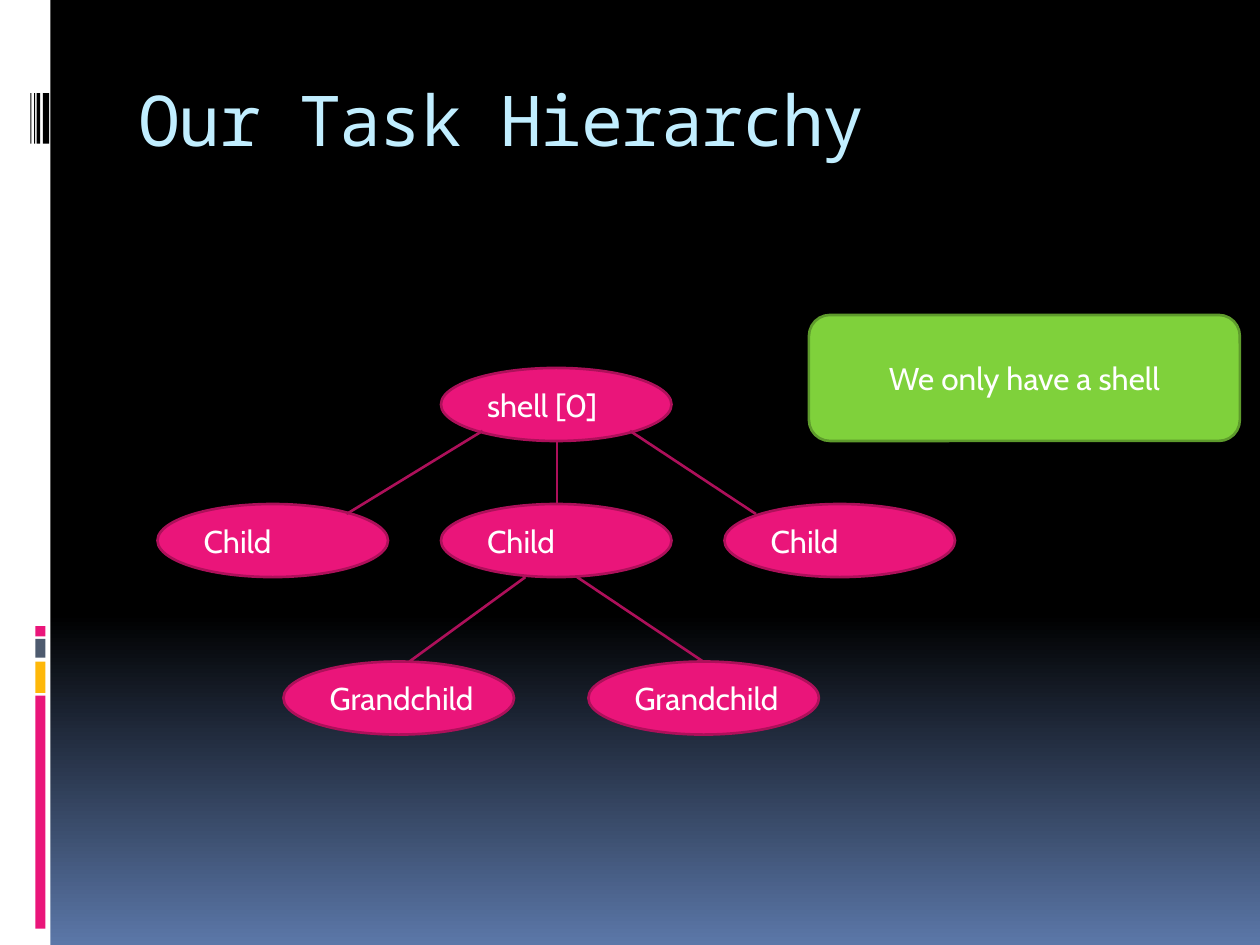
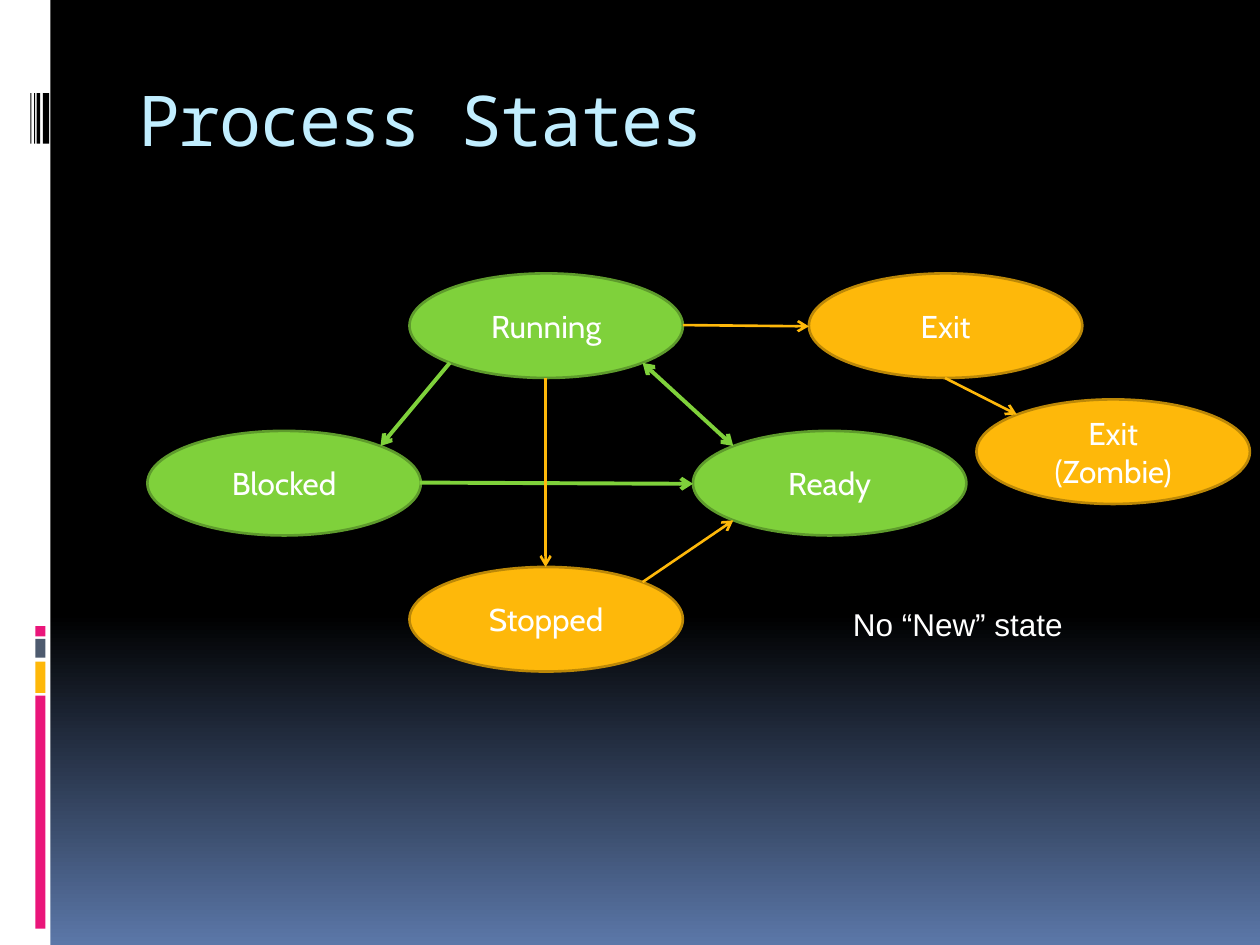
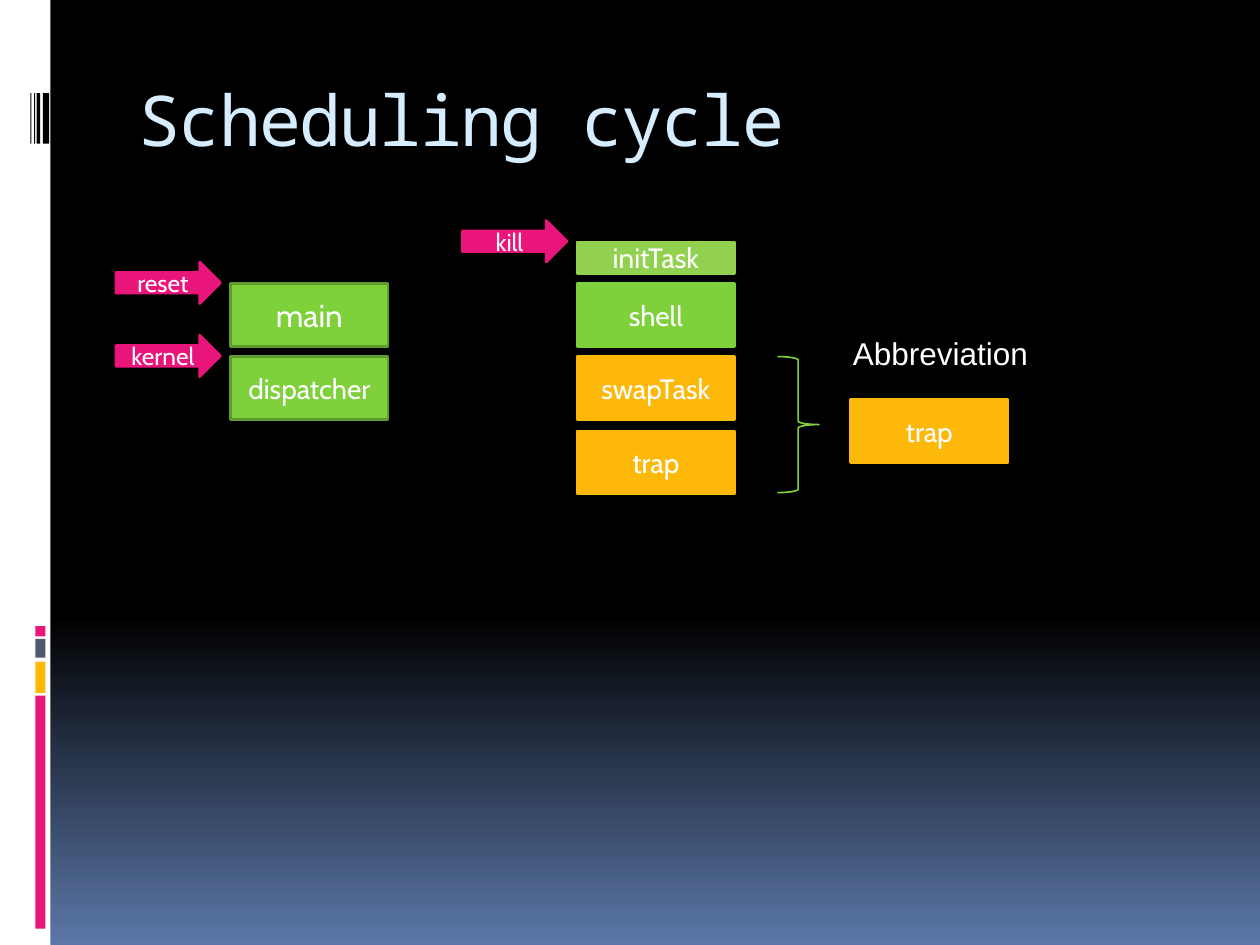
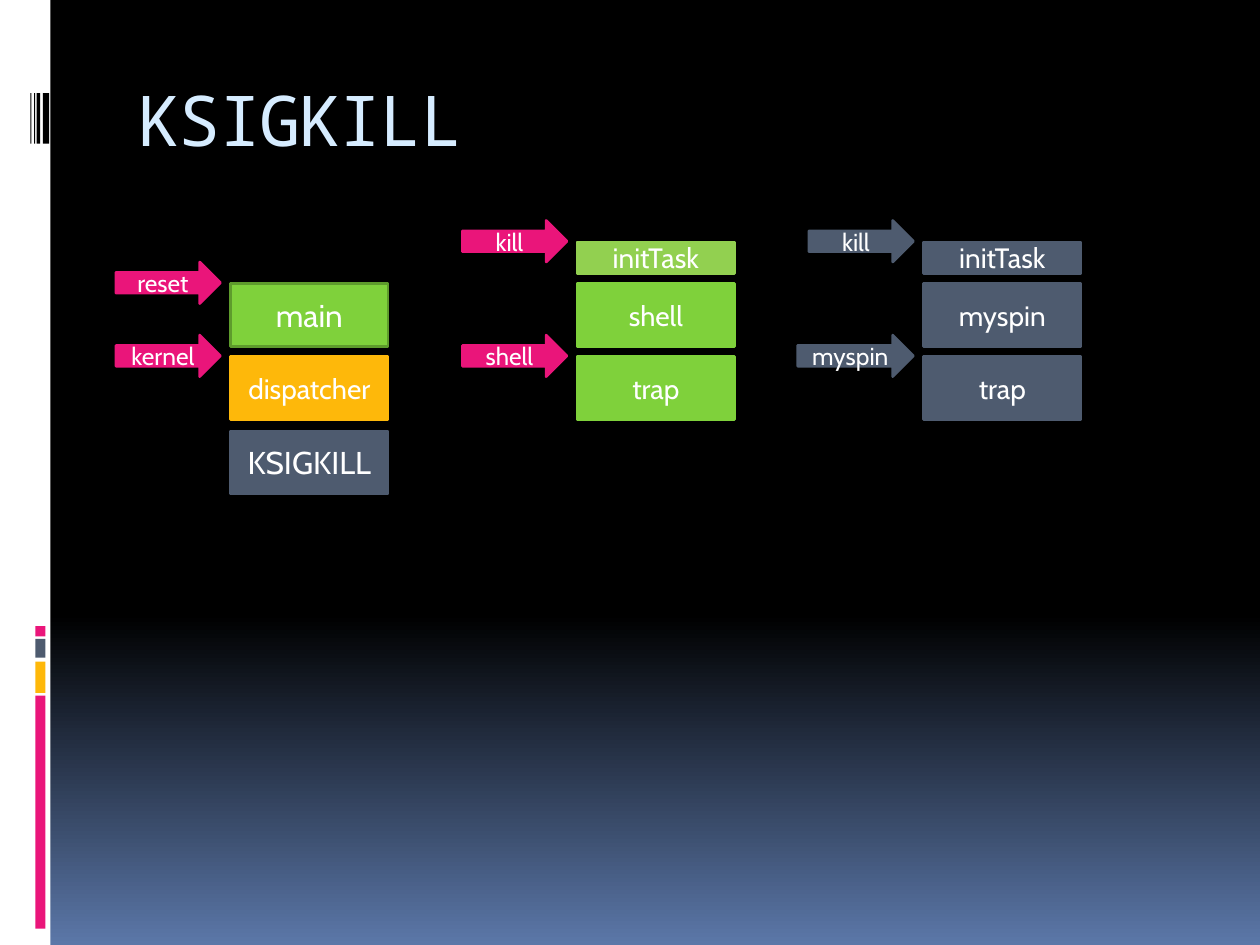
from copy import deepcopy

from pptx import Presentation
from pptx.dml.color import RGBColor
from pptx.enum.shapes import MSO_CONNECTOR, MSO_SHAPE
from pptx.enum.text import MSO_ANCHOR, MSO_AUTO_SIZE, PP_ALIGN
from pptx.oxml.ns import qn
from pptx.oxml.xmlchemy import OxmlElement
from pptx.util import Inches, Pt

RECT, ELLIPSE, ROUNDED = MSO_SHAPE.RECTANGLE, MSO_SHAPE.OVAL, MSO_SHAPE.ROUNDED_RECTANGLE
ARROW, BRACE = MSO_SHAPE.RIGHT_ARROW, MSO_SHAPE.RIGHT_BRACE
STRAIGHT = MSO_CONNECTOR.STRAIGHT
LEFT, CENTER = PP_ALIGN.LEFT, PP_ALIGN.CENTER
TOP, MIDDLE = MSO_ANCHOR.TOP, MSO_ANCHOR.MIDDLE
NO_FIT, GROW = MSO_AUTO_SIZE.NONE, MSO_AUTO_SIZE.SHAPE_TO_FIT_TEXT

WHITE, BLACK, BLUE = "FFFFFF", "000000", "5B77A8"
PINK, GREEN, AMBER, SLATE, LIME = "EA157A", "7FD13B", "FEB80A", "4E5B6F", "92D050"
DARK_PINK, DARK_GREEN, DARK_AMBER = "AD105A", "5E9B2C", "BC8807"
CYAN, PALE_BLUE = "C1EEFF", "D6ECFF"
rgb = RGBColor.from_string


def add_shape(s, kind, x, y, w, h, fill, line=None, text="", size=18, align=CENTER, width=1.5):
    sp = s.shapes.add_shape(kind, Inches(x), Inches(y), Inches(w), Inches(h))
    sp.shadow.inherit = False
    for part, color in ((sp.fill, fill), (sp.line.fill, line)):
        if color:
            part.solid()
            part.fore_color.rgb = rgb(color)
        else:
            part.background()
    if line:
        sp.line.width = Pt(width)
    if text:
        tf = sp.text_frame
        tf.text = text
        tf.word_wrap = align == CENTER
        tf.vertical_anchor = MIDDLE
        for p in tf.paragraphs:
            p.alignment = align
            p.font.size, p.font.name = Pt(size), "Cabin"
            p.font.color.rgb = rgb(WHITE)
    return sp


def add_line(s, x1, y1, x2, y2, color, width=1.5, ends=()):
    c = s.shapes.add_connector(STRAIGHT, Inches(x1), Inches(y1), Inches(x2), Inches(y2))
    c.line.color.rgb = rgb(color)
    c.line.width = Pt(width)
    for name in ends:
        end = OxmlElement(name)
        end.set("type", "arrow")
        c.line._get_or_add_ln().append(end)
    c.element.spPr.append(OxmlElement("a:effectLst"))


prs = Presentation()
prs.slide_width, prs.slide_height = Inches(10), Inches(7.5)
master, layout = prs.slide_master, prs.slide_layouts[5]

# Shared background gradient
fill = master.background.fill
fill.gradient()
fill.gradient_angle = 270
stop_list = master.element.find(".//" + qn("a:gsLst"))
stop_list.insert(0, deepcopy(stop_list[0]))
for stop, (position, color) in zip(fill.gradient_stops, ((0, BLACK), (0.65, BLACK), (1, BLUE))):
    stop.position = position
    stop.color.rgb = rgb(color)

# Shared title place
title = layout.placeholders[0]
title.left, title.top, title.width, title.height = Inches(1), Inches(0.56), Inches(8.5), Inches(1)

# Slides with their titles
slides = []
for text, color in (("Our Task Hierarchy", CYAN), ("Process States", CYAN),
                    ("Scheduling cycle", PALE_BLUE), ("KSIGKILL", PALE_BLUE)):
    s = prs.slides.add_slide(layout)
    tf = s.shapes.title.text_frame
    tf.text = text
    tf.auto_size, tf.vertical_anchor = NO_FIT, TOP
    p = tf.paragraphs[0]
    p.alignment = LEFT
    p.font.size, p.font.name = Pt(40), "Noto Sans Mono"
    p.font.color.rgb = rgb(color)
    p.runs[0].font._element.set("spc", "-100")
    slides.append(s)
hierarchy, states, cycle, sigkill = slides

# Side band, moved to the master behind its placeholders
band = [(0, 0, 0.4, 7.5, WHITE)]
band += [(0.28, y, 0.08, h, color) for y, h, color in (
    (5.52, 1.85, PINK), (5.25, 0.25, AMBER), (5.07, 0.15, SLATE), (4.97, 0.08, PINK))]
band += [(x, 0.74, w, 0.4, BLACK) for x, w in (
    (0.34, 0.05), (0.29, 0.03), (0.27, 0.01), (0.24, 0.01))]
for i, (x, y, w, h, color) in enumerate(band):
    sp = add_shape(hierarchy, RECT, x, y, w, h, color)
    sp.element.nvSpPr.cNvPr.id = 100 + i
    master.shapes.element.insert(2 + i, sp.element)

# Slide 1: task tree
for text, x, y in (("shell [0]", 3.5, 2.92), ("Child", 5.75, 4), ("Child", 3.5, 4),
                   ("Child", 1.25, 4), ("Grandchild", 4.67, 5.25), ("Grandchild", 2.25, 5.25)):
    add_shape(hierarchy, ELLIPSE, x, y, 1.83, 0.58, PINK, DARK_PINK, text, align=LEFT)
for ends in ((3.83, 3.42, 2.75, 4.08), (5, 3.42, 6, 4.08), (4.42, 3.5, 4.42, 4),
             (4.58, 4.58, 5.58, 5.25), (4.17, 4.58, 3.25, 5.25)):
    add_line(hierarchy, *ends, DARK_PINK)
add_shape(hierarchy, ROUNDED, 6.42, 2.5, 3.42, 1, GREEN, DARK_GREEN, "We only have a shell")

# Slide 2: states and transitions
for text, x, y, color, edge in (
        ("Running", 3.25, 2.17, GREEN, DARK_GREEN), ("Ready", 5.5, 3.42, GREEN, DARK_GREEN),
        ("Blocked", 1.17, 3.42, GREEN, DARK_GREEN), ("Exit", 6.42, 2.17, AMBER, DARK_AMBER),
        ("Exit\n(Zombie)", 7.75, 3.17, AMBER, DARK_AMBER),
        ("Stopped", 3.25, 4.5, AMBER, DARK_AMBER)):
    add_shape(states, ELLIPSE, x, y, 2.17, 0.83, color, edge, text)
add_line(states, 5.1, 2.88, 5.82, 3.54, GREEN, 2.25, ("a:headEnd", "a:tailEnd"))
for ends, color, width in (
        ((3.57, 2.88, 3.02, 3.54), GREEN, 2.25), ((3.33, 3.83, 5.5, 3.84), GREEN, 2.25),
        ((5.42, 2.58, 6.42, 2.59), AMBER, 1.5), ((7.5, 3, 8.07, 3.29), AMBER, 1.5),
        ((4.33, 3, 4.33, 4.5), AMBER, 1.5), ((5.1, 4.62, 5.82, 4.13), AMBER, 1.5)):
    add_line(states, *ends, color, width, ("a:tailEnd",))

# Slides 3 and 4: stacks of boxes, with pointers to some of their tops
COLUMNS = [1.83 + 2.75 * i for i in range(3)]
ROWS = [1.92, 2.25, 2.83, 3.42]
for s, column, row, text, color, edge, size in (
        (cycle, 0, 1, "main", GREEN, DARK_GREEN, 18),
        (cycle, 0, 2, "dispatcher", GREEN, DARK_GREEN, 16),
        (cycle, 1, 0, "initTask", LIME, LIME, 16),
        (cycle, 1, 1, "shell", GREEN, GREEN, 16),
        (cycle, 1, 2, "swapTask", AMBER, AMBER, 16),
        (cycle, 1, 3, "trap", AMBER, AMBER, 16),
        (sigkill, 0, 1, "main", GREEN, DARK_GREEN, 18),
        (sigkill, 0, 2, "dispatcher", AMBER, AMBER, 16),
        (sigkill, 0, 3, "KSIGKILL", SLATE, SLATE, 18),
        (sigkill, 1, 0, "initTask", LIME, LIME, 16),
        (sigkill, 1, 1, "shell", GREEN, GREEN, 16),
        (sigkill, 1, 2, "trap", GREEN, GREEN, 16),
        (sigkill, 2, 0, "initTask", SLATE, SLATE, 16),
        (sigkill, 2, 1, "myspin", SLATE, SLATE, 16),
        (sigkill, 2, 2, "trap", SLATE, SLATE, 16)):
    height = 0.5 if row else 0.25
    add_shape(s, RECT, COLUMNS[column], ROWS[row], 1.25, height, color, edge, text, size)
for s, column, row, text, color, w in (
        (cycle, 0, 1, "reset", PINK, 0.83), (cycle, 0, 2, "kernel", PINK, 0.83),
        (cycle, 1, 0, "kill", PINK, 0.83),
        (sigkill, 0, 1, "reset", PINK, 0.83), (sigkill, 0, 2, "kernel", PINK, 0.83),
        (sigkill, 1, 0, "kill", PINK, 0.83), (sigkill, 1, 2, "shell", PINK, 0.83),
        (sigkill, 2, 0, "kill", SLATE, 0.83), (sigkill, 2, 2, "myspin", SLATE, 0.92)):
    x, y = COLUMNS[column] - 0.08 - w, ROWS[row] - 0.17
    add_shape(s, ARROW, x, y, w, 0.33, color, color, text, 14)

# Slide 3: abbreviation of the last two boxes
add_shape(cycle, BRACE, 6.17, 2.83, 0.33, 1.08, None, GREEN, width=0.94)
add_shape(cycle, RECT, 6.75, 3.17, 1.25, 0.5, AMBER, AMBER, "trap", 16)

# Plain labels
for s, text, y, w in ((states, "No “New” state", 4.75, 1.92), (cycle, "Abbreviation", 2.6, 2.17)):
    tf = s.shapes.add_textbox(Inches(6.67), Inches(y), Inches(w), Inches(0.4)).text_frame
    tf.text = text
    tf.word_wrap, tf.auto_size = True, GROW
    p = tf.paragraphs[0]
    p.font.size, p.font.name = Pt(18), "Arial"
    p.font.color.rgb = rgb(WHITE)

prs.save("out.pptx")
